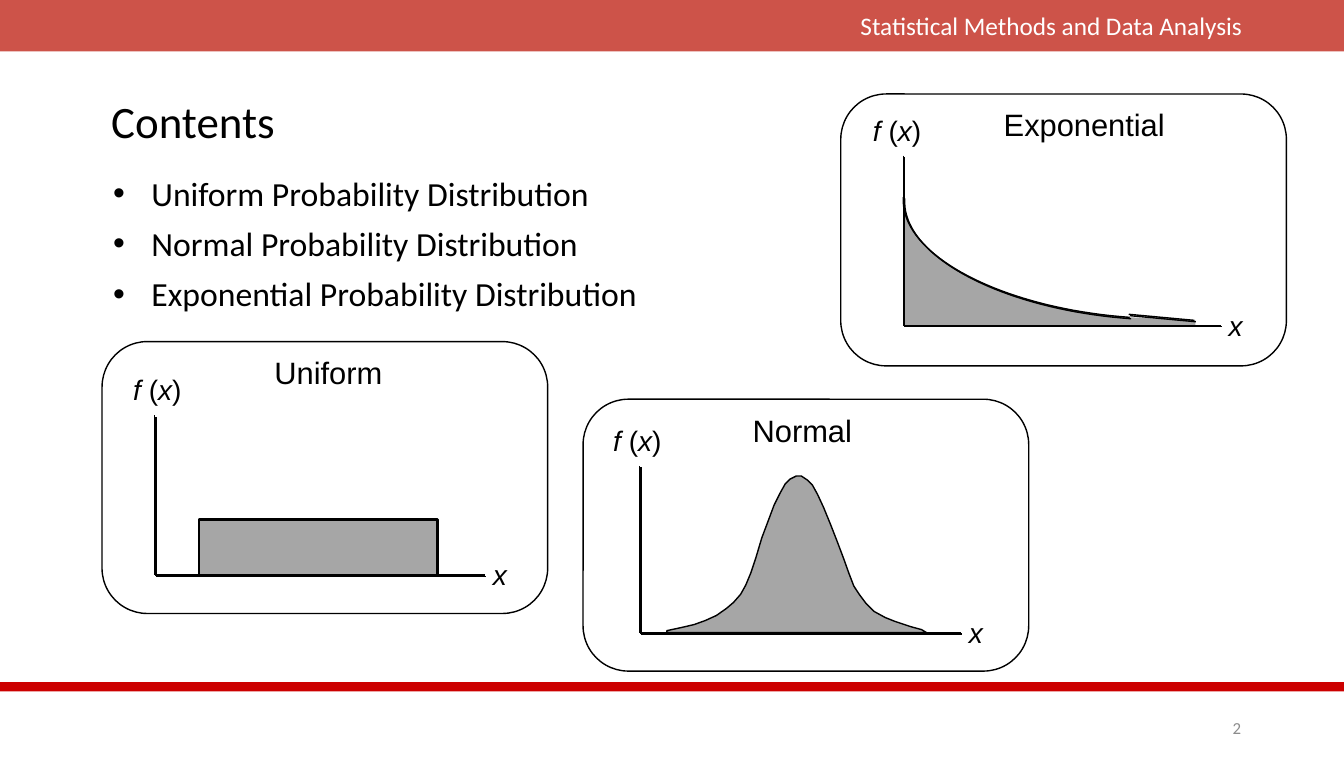
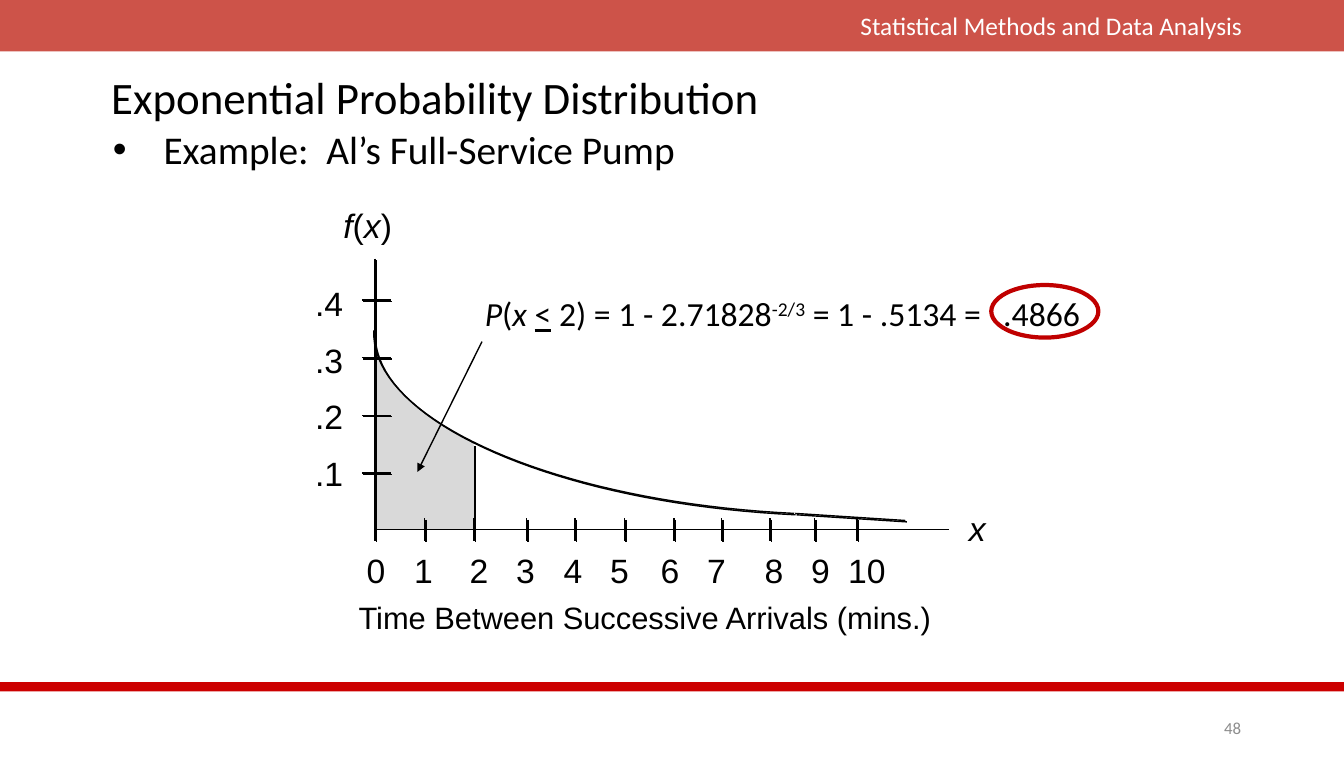
from dataclasses import dataclass

from lxml import etree
from pptx import Presentation
from pptx.dml.color import RGBColor
from pptx.enum.shapes import MSO_CONNECTOR, MSO_SHAPE
from pptx.enum.text import MSO_ANCHOR as Anchor, MSO_AUTO_SIZE, PP_ALIGN as Align
from pptx.oxml import parse_xml
from pptx.oxml.ns import nsdecls, qn
from pptx.util import Inches, Pt


@dataclass(frozen=True)
class Theme:
    band = RGBColor.from_string("BF2317")
    rule = RGBColor.from_string("CC0000")
    accent = RGBColor.from_string("C00000")
    ink = RGBColor.from_string("000000")
    paper = RGBColor.from_string("FFFFFF")
    muted = RGBColor.from_string("8C8C8C")
    area = RGBColor.from_string("A6A6A6")
    light_area = RGBColor.from_string("D9D9D9")
    body_font = "Calibri"
    chart_font = "Arial"
    title_size = 32
    lead_size = 28
    body_size = 24
    caption_size = 22
    axis_size = 20
    header_size = 18
    number_size = 12


theme = Theme()
LINE_SHADOW = (
    f'<a:effectLst {nsdecls("a")}><a:outerShdw dist="17961" dir="2700000">'
    '<a:srgbClr val="000000"/></a:outerShdw></a:effectLst>'
)
NO_SHADOW = f'<a:effectLst {nsdecls("a")}/>'


def add_text(slide, box, paragraphs, size, font=theme.chart_font, color=theme.ink,
             align=Align.LEFT, anchor=Anchor.TOP, bullet_indent=None, gap=0):
    """Each paragraph is a list of (text, style); i italic, u underlined, s superscript."""
    shape = slide.shapes.add_textbox(*(Inches(value) for value in box))
    frame = shape.text_frame
    frame.word_wrap = True
    frame.vertical_anchor = anchor
    for index, runs in enumerate(paragraphs):
        paragraph = frame.add_paragraph() if index else frame.paragraphs[0]
        paragraph.alignment = align
        paragraph.space_before = Pt(gap)
        if bullet_indent:
            properties = paragraph._p.get_or_add_pPr()
            properties.set("marL", str(Inches(bullet_indent)))
            properties.set("indent", str(-Inches(bullet_indent)))
            etree.SubElement(properties, qn("a:buFont")).set("typeface", "Arial")
            etree.SubElement(properties, qn("a:buChar")).set("char", "•")
        for text, style in runs:
            run = paragraph.add_run()
            run.text = text
            run.font.name = font
            run.font.size = Pt(size)
            run.font.color.rgb = color
            run.font.italic = "i" in style
            run.font.underline = "u" in style
            if "s" in style:
                run._r.get_or_add_rPr().set("baseline", "30000")
    return shape


def add_line(slide, start, end, shadow=True):
    line = slide.shapes.add_connector(
        MSO_CONNECTOR.STRAIGHT, *(Inches(value) for value in (*start, *end)))
    line.line.color.rgb = theme.ink
    line.line.width = Pt(1)
    line.element.spPr.append(parse_xml(LINE_SHADOW if shadow else NO_SHADOW))
    return line


presentation = Presentation()
presentation.slide_width = Inches(13.3)
presentation.slide_height = Inches(7.5)
layout = presentation.slide_layouts[5]

# Titles and slide numbers
slides = []
for title_text, top, height, number in (
    ("Contents", 0.78, 0.89, "2"),
    ("Exponential Probability Distribution", 0.61, 0.75, "48"),
):
    slide = presentation.slides.add_slide(layout)
    slides.append(slide)
    title = slide.shapes.title
    title.left, title.top = Inches(1), Inches(top)
    title.width, title.height = Inches(11.31), Inches(height)
    title.text_frame.auto_size = MSO_AUTO_SIZE.NONE
    title.text_frame.vertical_anchor = Anchor.MIDDLE
    paragraph = title.text_frame.paragraphs[0]
    paragraph.alignment = Align.LEFT
    paragraph.line_spacing = 0.9
    run = paragraph.add_run()
    run.text = title_text
    run.font.name = theme.body_font
    run.font.size = Pt(theme.title_size)
    run.font.color.rgb = theme.ink
    add_text(slide, (11.7, 7.05, 0.68, 0.3), [[(number, "")]], theme.number_size,
             theme.body_font, theme.muted, Align.RIGHT, Anchor.MIDDLE)
contents, example = slides

# Bands and header, moved to the layout so that both slides share them
shared = []
for top, height, color in ((0, 0.51, theme.band), (6.75, 0.09, theme.rule)):
    band = contents.shapes.add_shape(
        MSO_SHAPE.RECTANGLE, 0, Inches(top), presentation.slide_width, Inches(height))
    band.shadow.inherit = False
    band.fill.solid()
    band.fill.fore_color.rgb = color
    band.line.fill.background()
    shared.append(band)
band_color = shared[0].element.spPr.find(".//" + qn("a:srgbClr"))
etree.SubElement(band_color, qn("a:alpha")).set("val", "78000")
shared.append(add_text(
    contents, (6.67, 0.05, 5.72, 0.4), [[("Statistical Methods and Data Analysis", "")]],
    theme.header_size, theme.body_font, theme.paper, Align.RIGHT))
for shape_id, shape in enumerate(shared, 100):
    shape.element.nvSpPr.cNvPr.set("id", str(shape_id))
    layout.shapes.element.append(shape.element)

# Bulleted text
topics = [[(f"{name} Probability Distribution", "")]
          for name in ("Uniform", "Normal", "Exponential")]
add_text(contents, (1.02, 1.66, 8.78, 1.5), topics, theme.body_size, theme.body_font,
         bullet_indent=0.38, gap=7)
add_text(example, (1.02, 1.19, 9.67, 0.54), [[("Example:  Al’s Full-Service Pump", "")]],
         theme.lead_size, theme.body_font, bullet_indent=0.5)

# Contents: the three panels with caption and axis labels
panels = (
    # caption, panel corner, caption centre, label left, axis origin, axis top, axis right
    ("Exponential", (8.32, 0.93), 10.73, 8.54, (8.94, 3.22), 1.54, 12.08),
    ("Uniform", (1.01, 3.38), 3.25, 1.22, (1.53, 5.69), 4.11, 4.8),
    ("Normal", (5.77, 3.95), 7.94, 5.97, (6.33, 6.26), 4.61, 9.51),
)
for caption, (left, top), centre, label_left, origin, axis_top, axis_right in panels:
    panel = contents.shapes.add_shape(
        MSO_SHAPE.ROUNDED_RECTANGLE, Inches(left), Inches(top), Inches(4.41), Inches(2.69))
    panel.shadow.inherit = False
    panel.fill.background()
    panel.line.color.rgb = theme.ink
    panel.line.width = Pt(1)
    add_text(contents, (centre - 1, top + 0.07, 2, 0.47), [[(caption, "")]],
             theme.caption_size, align=Align.CENTER)
    add_text(contents, (label_left, axis_top - 0.47, 0.8, 0.43),
             [[("f ", "i"), ("(", ""), ("x", "i"), (")", "")]], theme.axis_size)
    add_text(contents, (axis_right - 0.02, origin[1] - 0.22, 0.4, 0.43),
             [[("x", "i")]], theme.axis_size)

# Contents: uniform density
uniform = contents.shapes.add_shape(
    MSO_SHAPE.RECTANGLE, Inches(1.97), Inches(5.14), Inches(2.36), Inches(0.55))
uniform.shadow.inherit = False
uniform.fill.solid()
uniform.fill.fore_color.rgb = theme.area
uniform.line.color.rgb = theme.ink
uniform.line.width = Pt(1.5)

# Exponential curves, sampled from their Bezier control points
steps = [step / 40 for step in range(41)]
small_curve, large_curve = (
    [tuple((1 - t) ** 3 * a + 3 * (1 - t) ** 2 * t * b + 3 * (1 - t) * t ** 2 * c + t ** 3 * d
           for a, b, c, d in zip(*controls)) for t in steps]
    for controls in (
        ((8.94, 1.95), (8.9, 2.52), (9.91, 3.05), (11.18, 3.14)),
        ((3.7, 3.27), (3.66, 4.16), (5.52, 4.97), (7.86, 5.08)),
    )
)
bell = [
    (6.6, 6.26), (6.6, 6.24), (6.74, 6.21), (6.87, 6.18), (6.98, 6.14), (7.09, 6.09),
    (7.19, 6.02), (7.26, 5.96), (7.33, 5.88), (7.38, 5.79), (7.43, 5.67), (7.48, 5.52),
    (7.54, 5.32), (7.6, 5.16), (7.66, 5), (7.72, 4.88), (7.77, 4.79), (7.82, 4.74),
    (7.88, 4.71), (7.93, 4.71), (7.99, 4.75), (8.04, 4.8), (8.09, 4.89), (8.15, 5.02),
    (8.22, 5.19), (8.29, 5.37), (8.35, 5.53), (8.4, 5.67), (8.45, 5.8), (8.51, 5.89),
    (8.57, 5.97), (8.65, 6.05), (8.76, 6.11), (8.86, 6.15), (9.01, 6.2), (9.12, 6.23),
    (9.17, 6.26),
]
small_area = small_curve + [(11.83, 3.17), (11.83, 3.22), (8.94, 3.22)]
large_area = [point for point in large_curve if point[0] < 4.69]
large_area += [(4.69, 4.41), (4.69, 5.24), (3.71, 5.24)]

# Filled areas and curve outlines
for slide, points, fill, outlined in (
    (contents, small_area, theme.area, False),
    (contents, small_curve, None, True),
    (contents, bell, theme.area, True),
    (example, large_area, theme.light_area, False),
    (example, large_curve, None, True),
):
    first, *rest = [(Inches(x), Inches(y)) for x, y in points]
    builder = slide.shapes.build_freeform(*first)
    builder.add_line_segments(rest, close=fill is not None)
    outline = builder.convert_to_shape()
    if fill is None:
        outline.fill.background()
    else:
        outline.fill.solid()
        outline.fill.fore_color.rgb = fill
    if outlined:
        outline.line.color.rgb = theme.ink
        outline.line.width = Pt(1)
    else:
        outline.line.fill.background()
    outline.element.spPr.append(parse_xml(NO_SHADOW if fill else LINE_SHADOW))

# Contents: axes and the tail of the exponential curve
for *_, origin, axis_top, axis_right in panels:
    add_line(contents, (origin[0], axis_top), origin)
    add_line(contents, origin, (axis_right, origin[1]))
add_line(contents, (11.17, 3.11), (11.82, 3.17))

# Example: axes, curve tail and edge of the shaded area
add_line(example, (3.71, 2.56), (3.71, 5.35))
add_line(example, (3.72, 5.24), (9.39, 5.24), shadow=False)
add_line(example, (7.87, 5.08), (8.96, 5.15))
add_line(example, (4.7, 5.24), (4.7, 4.41), shadow=False)
add_text(example, (3.3, 1.98, 0.9, 0.5),
         [[("f", "i"), ("(", ""), ("x", "i"), (")", "")]], theme.body_size)
add_text(example, (9.49, 4.98, 0.5, 0.5), [[("x", "i")]], theme.body_size)

# Example: ticks and their values
for index, value in enumerate((".1", ".2", ".3", ".4")):
    tick = 4.68 - 0.57 * index
    add_line(example, (3.58, tick), (3.87, tick))
    add_text(example, (3.02, 4.43 - 0.56 * index, 0.6, 0.5), [[(value, "")]], theme.body_size)
ticks = (3.71, 4.2, 4.69, 5.21, 5.69, 6.18, 6.67, 7.14, 7.62, 8.06, 8.48)
centres = (3.72, 4.19, 4.74, 5.2, 5.67, 6.13, 6.63, 7.09, 7.66, 8.12, 8.58)
for value, (tick, centre) in enumerate(zip(ticks, centres)):
    if value:
        add_line(example, (tick, 5.13), (tick, 5.35))
    add_text(example, (centre - 0.35, 5.39, 0.7, 0.5), [[(str(value), "")]],
             theme.body_size, align=Align.CENTER)
add_text(example, (3.45, 5.87, 6.2, 0.47),
         [[("Time Between Successive Arrivals (mins.)", "")]], theme.caption_size)

# Example: formula, circled result and arrow to the shaded area
formula = [("P", "i"), ("(", ""), ("x ", "i"), ("<", "u"), (" 2) = 1 - 2.71828", ""),
           ("-2/3", "s"), (" = 1 - .5134 =", "")]
for left, width, runs in ((4.7, 5.4, formula), (9.83, 1.1, [(".4866", "")])):
    add_text(example, (left, 2.65, width, 0.9), [runs], theme.body_size, theme.body_font,
             anchor=Anchor.MIDDLE)
circle = example.shapes.add_shape(
    MSO_SHAPE.OVAL, Inches(9.81), Inches(2.82), Inches(1.06), Inches(0.52))
circle.shadow.inherit = False
circle.fill.background()
circle.line.color.rgb = theme.accent
circle.line.width = Pt(3)
arrow = add_line(example, (4.77, 3.38), (4.13, 4.67), shadow=False)
etree.SubElement(arrow.line._get_or_add_ln(), qn("a:tailEnd")).set("type", "triangle")

presentation.save("out.pptx")
